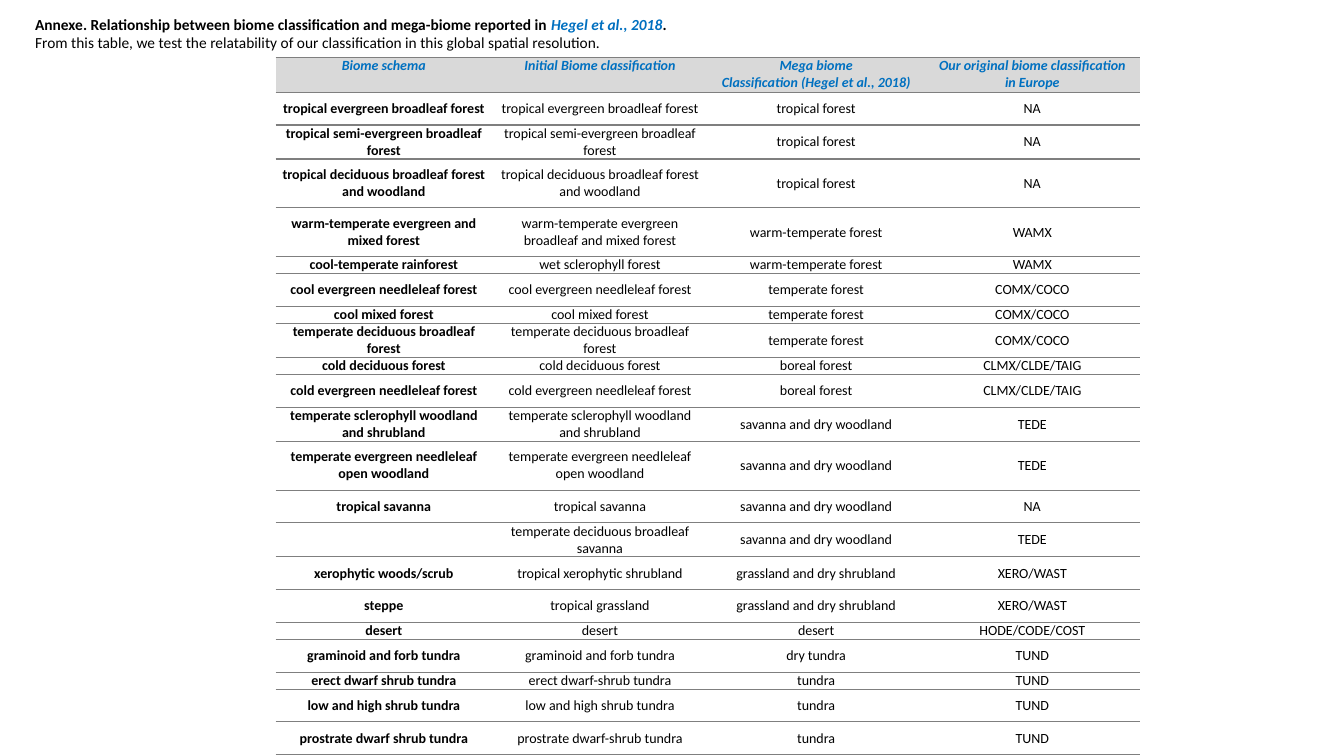
from lxml import etree
from pptx import Presentation
from pptx import util as u
from pptx.dml.color import RGBColor
from pptx.enum import text
from pptx.oxml import ns

PX = 4572
BLACK = RGBColor(0x00, 0x00, 0x00)
BLUE = RGBColor(0x00, 0x70, 0xC0)
HEADER_GREY = RGBColor(0xD9, 0xD9, 0xD9)
RULE_GREY = RGBColor(0x7F, 0x7F, 0x7F)
FONT = "Calibri"
PLAIN_STYLE = "{2D5ABB26-0587-4C30-8999-92F81FD0307C}"

HEADER_HEIGHT, SHORT, MEDIUM, TALL = 69, 32, 65, 97
COLUMN_WIDTH = 429

HEADINGS = (
    "Biome schema",
    "Initial Biome classification",
    "Mega biome\nClassification (Hegel et al., 2018)",
    "Our original biome classification\nin Europe",
)
BIOMES = (
    (MEDIUM, "tropical evergreen broadleaf forest", "tropical evergreen broadleaf forest", "tropical forest", "NA"),
    (MEDIUM, "tropical semi-evergreen broadleaf forest", "tropical semi-evergreen broadleaf forest",
     "tropical forest", "NA"),
    (TALL, "tropical deciduous broadleaf forest and woodland", "tropical deciduous broadleaf forest and woodland",
     "tropical forest", "NA"),
    (TALL, "warm-temperate evergreen and mixed forest", "warm-temperate evergreen broadleaf and mixed forest",
     "warm-temperate forest", "WAMX"),
    (SHORT, "cool-temperate rainforest", "wet sclerophyll forest", "warm-temperate forest", "WAMX"),
    (MEDIUM, "cool evergreen needleleaf forest", "cool evergreen needleleaf forest", "temperate forest", "COMX/COCO"),
    (SHORT, "cool mixed forest", "cool mixed forest", "temperate forest", "COMX/COCO"),
    (MEDIUM, "temperate deciduous broadleaf forest", "temperate deciduous broadleaf forest",
     "temperate forest", "COMX/COCO"),
    (SHORT, "cold deciduous forest", "cold deciduous forest", "boreal forest", "CLMX/CLDE/TAIG"),
    (MEDIUM, "cold evergreen needleleaf forest", "cold evergreen needleleaf forest",
     "boreal forest", "CLMX/CLDE/TAIG"),
    (MEDIUM, "temperate sclerophyll woodland and shrubland", "temperate sclerophyll woodland and shrubland",
     "savanna and dry woodland", "TEDE"),
    (TALL, "temperate evergreen needleleaf open woodland", "temperate evergreen needleleaf open woodland",
     "savanna and dry woodland", "TEDE"),
    (MEDIUM, "tropical savanna", "tropical savanna", "savanna and dry woodland", "NA"),
    (MEDIUM, "", "temperate deciduous broadleaf savanna", "savanna and dry woodland", "TEDE"),
    (MEDIUM, "xerophytic woods/scrub", "tropical xerophytic shrubland", "grassland and dry shrubland", "XERO/WAST"),
    (MEDIUM, "steppe", "tropical grassland", "grassland and dry shrubland", "XERO/WAST"),
    (SHORT, "desert", "desert", "desert", "HODE/CODE/COST"),
    (MEDIUM, "graminoid and forb tundra", "graminoid and forb tundra", "dry tundra", "TUND"),
    (SHORT, "erect dwarf shrub tundra", "erect dwarf-shrub tundra", "tundra", "TUND"),
    (MEDIUM, "low and high shrub tundra", "low and high shrub tundra", "tundra", "TUND"),
    (MEDIUM, "prostrate dwarf shrub tundra", "prostrate dwarf-shrub tundra", "tundra", "TUND"),
)


def px(*lengths):
    return [u.Emu(length * PX) for length in lengths]


def format_run(run, size, color=BLACK, bold=False, italic=False):
    font = run.font
    font.name, font.size = FONT, u.Pt(size)
    font.bold, font.italic = bold, italic
    font.color.rgb = color


def add_rules(cell):
    properties = cell._tc.get_or_add_tcPr()
    for side in ("a:lnT", "a:lnB"):
        line = etree.SubElement(properties, ns.qn(side), w=str(u.Pt(1)))
        fill = etree.SubElement(line, ns.qn("a:solidFill"))
        etree.SubElement(fill, ns.qn("a:srgbClr"), val=str(RULE_GREY))


def fill_cell(cell, words, is_header, is_schema):
    cell.margin_left = cell.margin_right = px(10)[0]
    cell.margin_top = cell.margin_bottom = 0
    add_rules(cell)
    if is_header:
        cell.fill.solid()
        cell.fill.fore_color.rgb = HEADER_GREY
    else:
        cell.fill.background()
        cell.vertical_anchor = text.MSO_ANCHOR.MIDDLE
    cell.text_frame.text = words
    for paragraph in cell.text_frame.paragraphs:
        paragraph.alignment = text.PP_ALIGN.CENTER
        for run in paragraph.runs:
            format_run(run, 10, BLUE if is_header else BLACK, is_header or is_schema, is_header)


def add_biome_table(slide):
    rows = ((HEADER_HEIGHT, *HEADINGS), *BIOMES)
    heights = [row[0] for row in rows]
    frame = slide.shapes.add_table(len(rows), len(HEADINGS),
                                   *px(547, 114, COLUMN_WIDTH * len(HEADINGS), sum(heights)))
    table = frame.table
    table._tbl.tblPr.find(ns.qn("a:tableStyleId")).text = PLAIN_STYLE
    table.horz_banding = False
    for column in table.columns:
        column.width = px(COLUMN_WIDTH)[0]
    for row_index, (height, *labels) in enumerate(rows):
        table.rows[row_index].height = px(height)[0]
        for column_index, label in enumerate(labels):
            fill_cell(table.cell(row_index, column_index), label, row_index == 0, column_index == 0)


def add_caption(slide):
    text_frame = slide.shapes.add_textbox(*px(50, 20, 1334, 94)).text_frame
    text_frame.word_wrap = True
    text_frame.auto_size = text.MSO_AUTO_SIZE.SHAPE_TO_FIT_TEXT
    paragraph = text_frame.paragraphs[0]
    paragraph.text = (
        "Annexe. Relationship between biome classification and mega-biome reported in ")
    format_run(paragraph.runs[0], 11, bold=True)
    for words, color, bold, italic in (
        ("Hegel et al., 2018", BLUE, True, True),
        (".", BLACK, True, False),
        ("From this table, we test the relatability of our classification in this global spatial resolution.",
         BLACK, False, False),
    ):
        if not bold:
            paragraph.add_line_break()
        run = paragraph.add_run()
        run.text = words
        format_run(run, 11, color, bold, italic)


def main():
    presentation = Presentation()
    presentation.slide_width, presentation.slide_height = px(2667, 1500)
    slide = presentation.slides.add_slide(presentation.slide_layouts[6])
    add_biome_table(slide)
    add_caption(slide)
    presentation.save("out.pptx")


if __name__ == "__main__":
    main()
